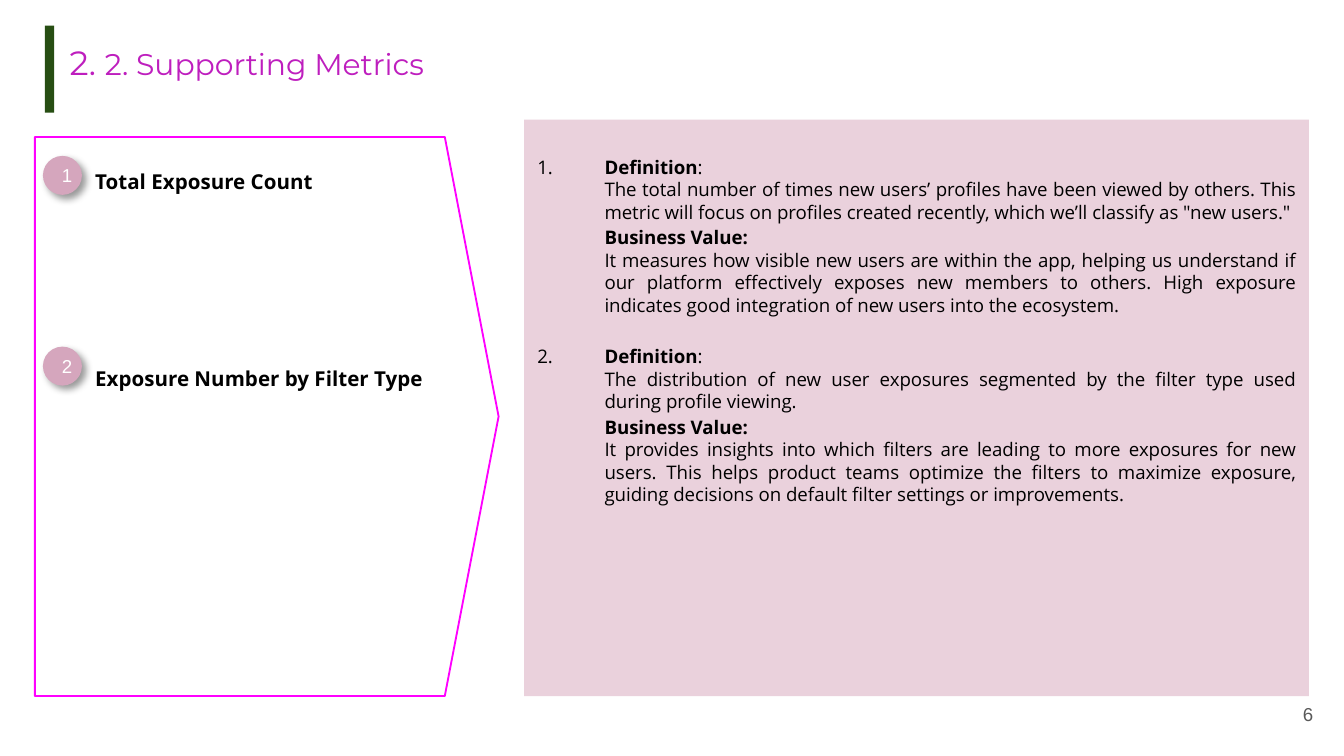
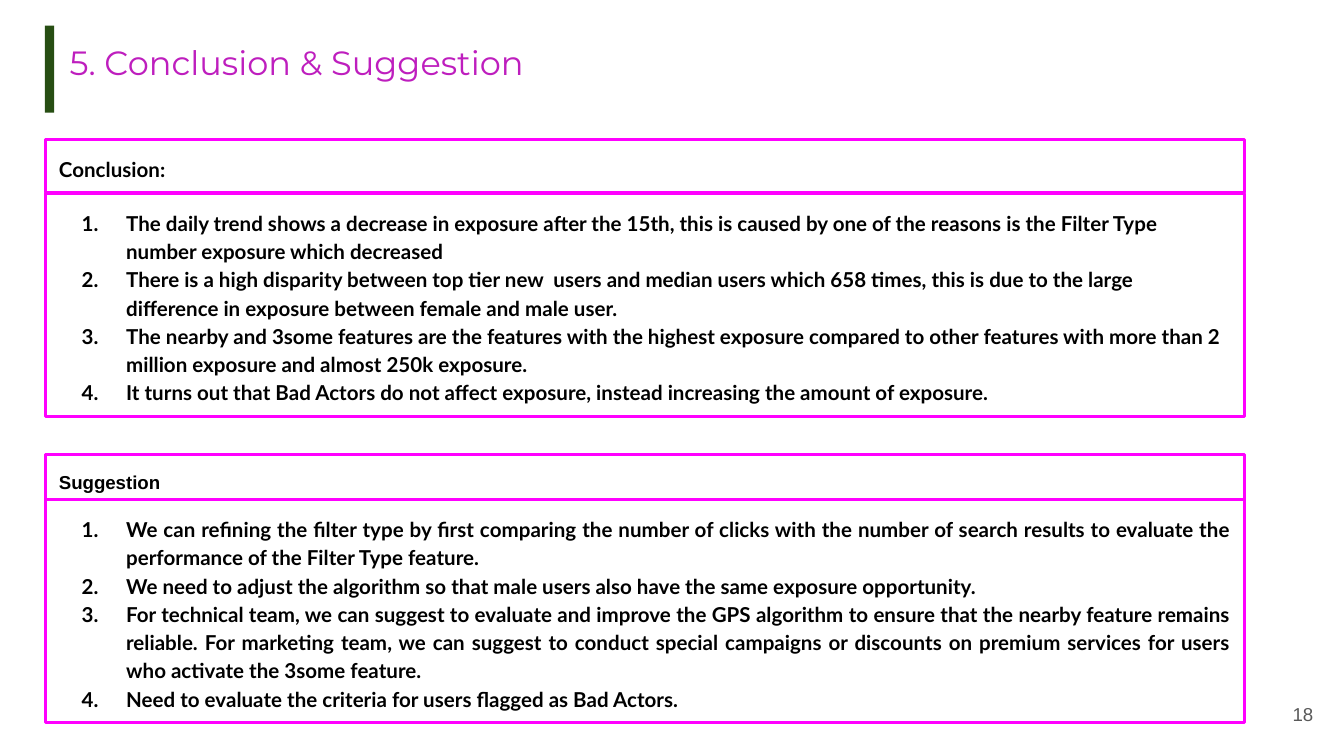
from dataclasses import dataclass
from typing import Optional

import pptx
import pptx.dml.color
import pptx.enum.shapes
import pptx.enum.text
import pptx.oxml.ns
import pptx.util
from lxml import etree

Pt = pptx.util.Pt
RGBColor = pptx.dml.color.RGBColor
MSO_SHAPE = pptx.enum.shapes.MSO_SHAPE
ALIGN = pptx.enum.text.PP_ALIGN
ANCHOR = pptx.enum.text.MSO_ANCHOR
qn = pptx.oxml.ns.qn

BLACK = RGBColor(0x00, 0x00, 0x00)
WHITE = RGBColor(0xFF, 0xFF, 0xFF)
GRAY = RGBColor(0x59, 0x59, 0x59)
PURPLE = RGBColor(0xBE, 0x1E, 0xBE)
MAGENTA = RGBColor(0xFF, 0x00, 0xFF)
GREEN = RGBColor(0x27, 0x4E, 0x13)
PINK = RGBColor(0xEA, 0xD1, 0xDC)
ROSE = RGBColor(0xD5, 0xA6, 0xBD)


@dataclass(frozen=True)
class Area:
    left: float
    top: float
    width: float
    height: float


@dataclass(frozen=True)
class Style:
    font: str
    size: float
    color: RGBColor = BLACK


@dataclass(frozen=True)
class Span:
    text: str
    bold: bool = False
    size: Optional[float] = None


@dataclass(frozen=True)
class Para:
    spans: tuple[Span, ...]
    align: ALIGN = ALIGN.LEFT
    margin: float = 0
    indent: float = 0
    spacing: float = 1.0
    before: float = 0
    numbered: bool = False


@dataclass(frozen=True)
class Metric:
    name: str
    definition: str
    value: str
    value_heading: Para


@dataclass(frozen=True)
class Section:
    heading: str
    heading_style: Style
    heading_area: Area
    list_area: Area
    align: ALIGN
    items: tuple[str, ...]


TITLE = Style("Montserrat", 18, PURPLE)
PAGE_NUMBER = Style("Arial", 10, GRAY)
BADGE = Style("Arial", 10, WHITE)
METRIC_NAME = Style("Open Sans", 11)
METRIC_TEXT = Style("Open Sans", 10)
LIST_TEXT = Style("Lato", 11)

METRICS = (
    Metric(
        "Total Exposure Count",
        "The total number of times new users’ profiles have been viewed by others. This metric "
        "will focus on profiles created recently, which we’ll classify as \"new users.\"",
        "It measures how visible new users are within the app, helping us understand if our "
        "platform effectively exposes new members to others. High exposure indicates good "
        "integration of new users into the ecosystem.",
        Para((Span("Business Value:", True),), ALIGN.JUSTIFY, margin=36, spacing=1.15),
    ),
    Metric(
        "Exposure Number by Filter Type",
        "The distribution of new user exposures segmented by the filter type used during "
        "profile viewing.",
        "It provides insights into which filters are leading to more exposures for new users. "
        "This helps product teams optimize the filters to maximize exposure, guiding decisions "
        "on default filter settings or improvements.",
        Para((Span("\tBusiness Value:", True),), ALIGN.JUSTIFY, spacing=1.15),
    ),
)

SECTIONS = (
    Section(
        "Conclusion:", LIST_TEXT,
        Area(24.5, 74.9, 642.2, 28.1), Area(24.5, 103.7, 642.2, 119.5), ALIGN.LEFT,
        (
            "The daily trend shows a decrease in exposure after the 15th, this is caused by one "
            "of the reasons is the Filter Type number exposure which decreased",
            "There is a high disparity between top tier new  users and median users which 658 "
            "times, this is due to the large difference in exposure between female and male user.",
            "The nearby and 3some features are the features with the highest exposure compared "
            "to other features with more than 2 million exposure and almost 250k exposure.",
            "It turns out that Bad Actors do not affect exposure, instead increasing the amount "
            "of exposure.",
        ),
    ),
    Section(
        "Suggestion", Style("Arial", 10),
        Area(24.5, 243.4, 642.2, 26.6), Area(24.5, 267.8, 642.2, 119.5), ALIGN.JUSTIFY,
        (
            "We can refining the filter type by first comparing the number of clicks with the "
            "number of search results to evaluate the performance of the Filter Type feature.",
            "We need to adjust the algorithm so that male users also have the same exposure "
            "opportunity.",
            "For technical team, we can suggest to evaluate and improve the GPS algorithm to "
            "ensure that the nearby feature remains reliable. For marketing team, we can suggest "
            "to conduct special campaigns or discounts on premium services for users who "
            "activate the 3some feature.",
            "Need to evaluate the criteria for users flagged as Bad Actors.",
        ),
    ),
)


def place(area: Area) -> tuple:
    return Pt(area.left), Pt(area.top), Pt(area.width), Pt(area.height)


def number_paragraph(properties) -> None:
    color = etree.SubElement(properties, qn("a:buClr"))
    etree.SubElement(color, qn("a:srgbClr"), val=str(BLACK))
    etree.SubElement(properties, qn("a:buAutoNum"), type="arabicPeriod")


def write(box, paras: list[Para], style: Style, inset: float = 7.2,
          top_inset: Optional[float] = None, anchor: ANCHOR = ANCHOR.TOP) -> None:
    frame = box.text_frame
    frame.word_wrap = True
    frame.vertical_anchor = anchor
    frame.margin_left = frame.margin_right = Pt(7.2)
    frame.margin_bottom = Pt(inset)
    frame.margin_top = Pt(inset if top_inset is None else top_inset)
    for index, para in enumerate(paras):
        paragraph = frame.add_paragraph() if index else frame.paragraphs[0]
        paragraph.alignment = para.align
        paragraph.line_spacing = para.spacing
        paragraph.space_before = Pt(para.before)
        properties = paragraph._p.get_or_add_pPr()
        properties.set("marL", str(Pt(para.margin)))
        properties.set("indent", str(Pt(para.indent)))
        if para.numbered:
            number_paragraph(properties)
        for span in para.spans:
            run = paragraph.add_run()
            run.text = span.text
            run.font.name = style.font
            run.font.size = Pt(span.size or style.size)
            run.font.bold = span.bold
            run.font.color.rgb = style.color


def add_text(page, area: Area, paras: list[Para], style: Style, **layout) -> None:
    write(page.shapes.add_textbox(*place(area)), paras, style, **layout)


def add_box(page, area: Area, fill: RGBColor, line_width: float = 0,
            kind: MSO_SHAPE = MSO_SHAPE.RECTANGLE):
    box = page.shapes.add_shape(kind, *place(area))
    box.shadow.inherit = False
    box.fill.solid()
    box.fill.fore_color.rgb = fill
    if line_width:
        box.line.color.rgb = MAGENTA
        box.line.width = Pt(line_width)
    else:
        box.line.fill.background()
    return box


def add_badge(page, area: Area, label: str) -> None:
    badge = add_box(page, area, ROSE, kind=MSO_SHAPE.OVAL)
    effects = badge._element.spPr.find(qn("a:effectLst"))
    shadow = etree.SubElement(effects, qn("a:outerShdw"), blurRad=str(Pt(4)),
                              dist=str(Pt(3)), dir="2700000", rotWithShape="0")
    color = etree.SubElement(shadow, qn("a:srgbClr"), val=str(BLACK))
    etree.SubElement(color, qn("a:alpha"), val="40000")
    write(badge, [Para((Span(label),), ALIGN.CENTER)], BADGE, inset=3.6, anchor=ANCHOR.MIDDLE)


def add_page(deck, title: tuple[Span, ...], number: str):
    page = deck.slides.add_slide(deck.slide_layouts[6])
    add_text(page, Area(30.2, 15.1, 671, 45.4), [Para(title)], TITLE)
    add_box(page, Area(24, 13.8, 5, 46.6), GREEN)
    add_text(page, Area(667.4, 367.2, 43.2, 31), [Para((Span(number),), ALIGN.RIGHT)],
             PAGE_NUMBER, anchor=ANCHOR.MIDDLE)
    return page


def metric_paras(index: int, metric: Metric) -> list[Para]:
    heading = (Span(f"{index + 1}.\t"), Span("Definition", True), Span(":"))
    return [
        Para(heading, ALIGN.JUSTIFY, spacing=1.15, before=13.8 * index),
        Para((Span(metric.definition),), ALIGN.JUSTIFY, margin=36),
        metric.value_heading,
        Para((Span(metric.value),), ALIGN.JUSTIFY, margin=36),
    ]


def build_metrics(deck) -> None:
    page = add_page(deck, (Span("2. "), Span("2. Supporting Metrics", size=16)), "6")
    arrow = add_box(page, Area(18.7, 73.4, 248.4, 299.5), WHITE, 1, MSO_SHAPE.PENTAGON)
    arrow.adjustments[0] = 0.116
    panel = add_box(page, Area(280.8, 64.1, 420.5, 308.9), PINK)
    paras = [para for index, metric in enumerate(METRICS)
             for para in metric_paras(index, metric)]
    write(panel, paras, METRIC_TEXT, inset=3.6, top_inset=17.4)
    names = [Para((Span(metric.name, True),), before=92.4 * index)
             for index, metric in enumerate(METRICS)]
    add_text(page, Area(43.9, 87.1, 210.2, 223.9), names, METRIC_NAME, inset=3.6)
    for index in range(len(METRICS)):
        add_badge(page, Area(23, 83.5 + 102.2 * index, 20.9, 20.9), str(index + 1))


def build_conclusion(deck) -> None:
    page = add_page(deck, (Span("5. Conclusion & Suggestion"),), "18")
    for section in SECTIONS:
        heading = add_box(page, section.heading_area, WHITE, 1.5)
        write(heading, [Para((Span(section.heading, True),), spacing=1.15)],
              section.heading_style)
        items = [Para((Span(item, True),), section.align, 36, -23.8, 1.15, numbered=True)
                 for item in section.items]
        write(add_box(page, section.list_area, WHITE, 1.5), items, LIST_TEXT)


def main() -> None:
    deck = pptx.Presentation()
    deck.slide_width, deck.slide_height = Pt(720), Pt(405)
    build_metrics(deck)
    build_conclusion(deck)
    deck.save("out.pptx")


if __name__ == "__main__":
    main()
